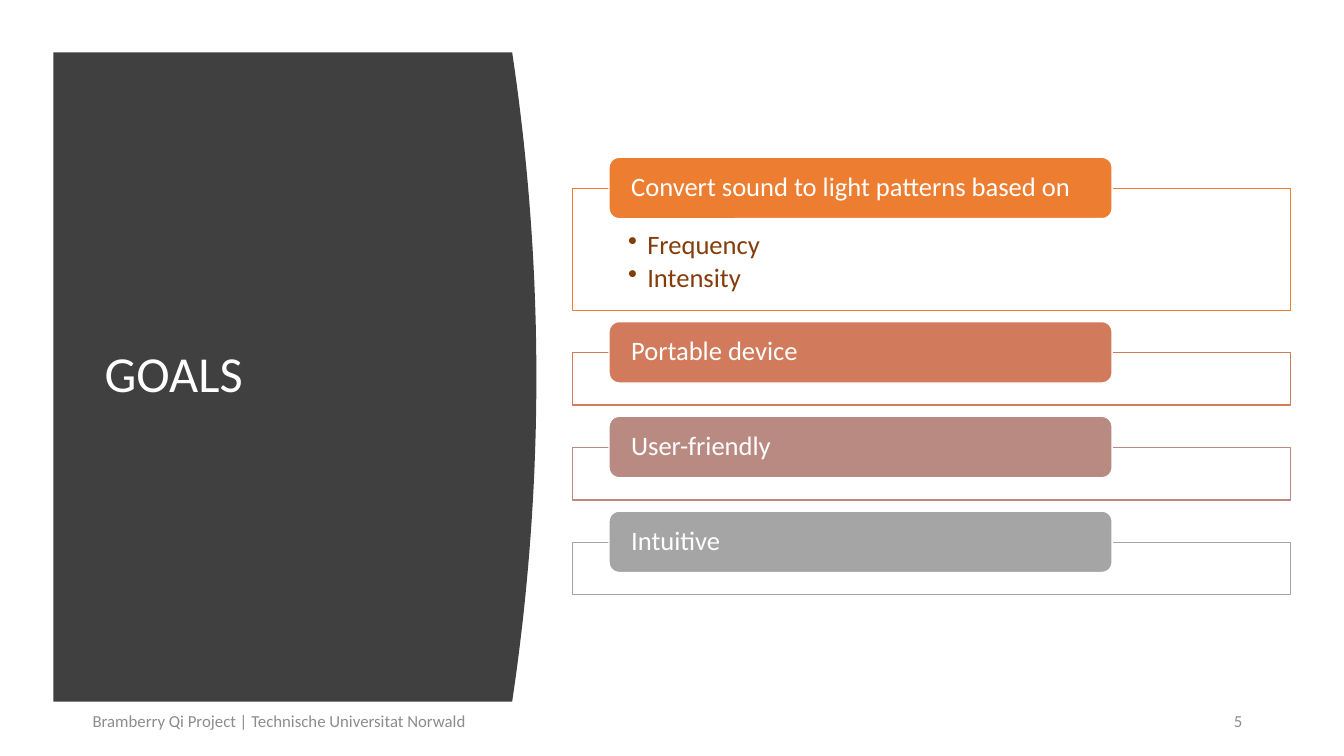
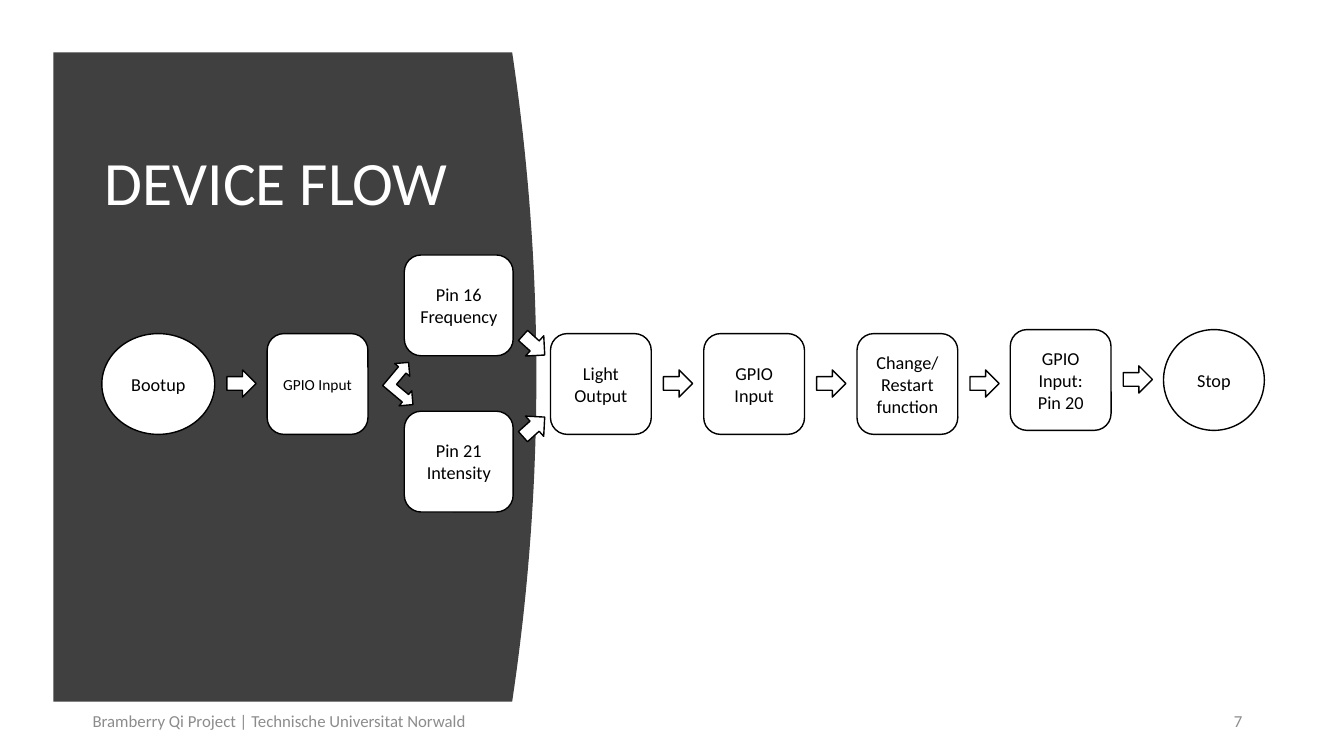
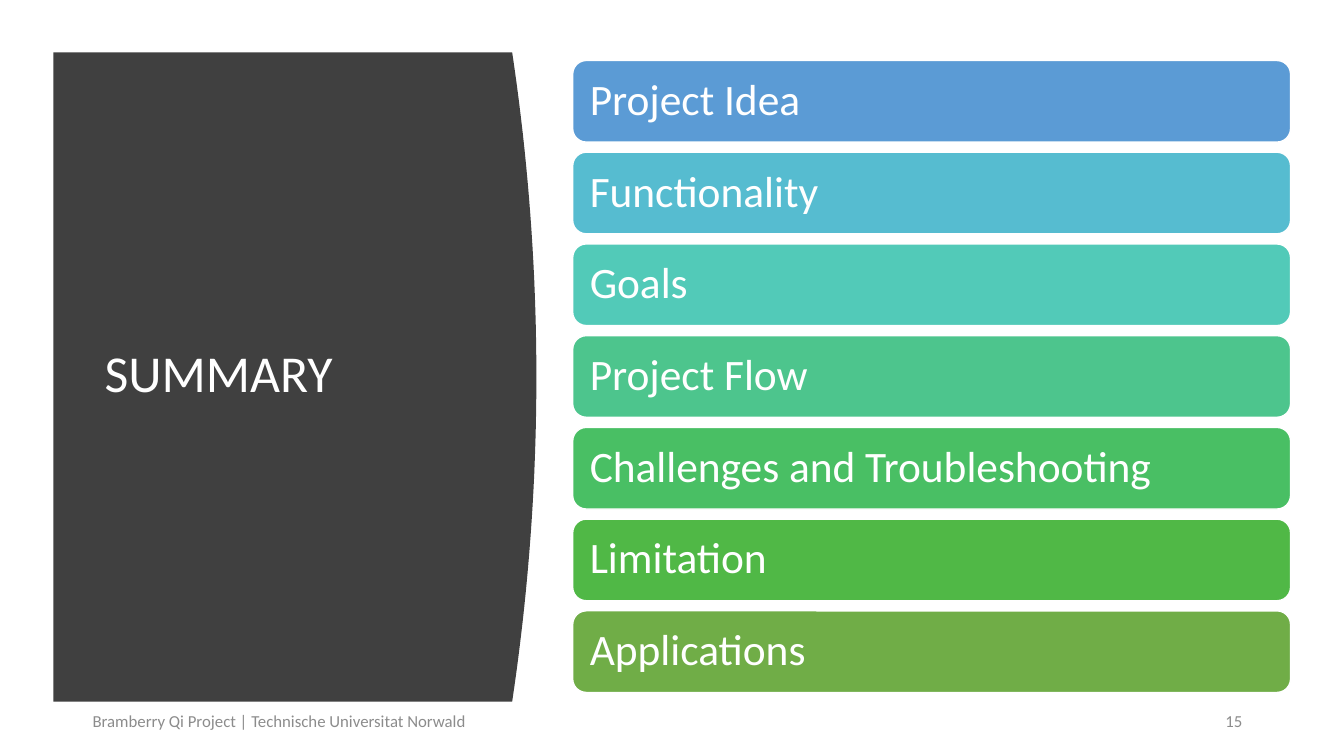
import pptx
import pptx.util
import pptx.dml.color
import pptx.enum.shapes
import pptx.enum.text
import lxml.etree

SHAPE = pptx.enum.shapes.MSO_SHAPE
ALIGN = pptx.enum.text.PP_ALIGN
ANCHOR = pptx.enum.text.MSO_ANCHOR

# Shared look: 100 px to the inch
EMU_PER_PX = 9144
FONT = "Calibri"
WHITE, BLACK, DARK, GREY, BROWN = "FFFFFF", "000000", "404040", "8C8C8C", "843C0B"
FOOTER = "Bramberry Qi Project | Technische Universitat Norwald"
TEXT_MARGINS = (10, 5, 10, 5)
CONTENT_LEFT, CONTENT_WIDTH = 568, 712


def px(value):
    return pptx.util.Emu(round(value * EMU_PER_PX))


def color(hex_string):
    return pptx.dml.color.RGBColor.from_string(hex_string)


def write(box, lines, size, ink, align=ALIGN.LEFT, anchor=ANCHOR.MIDDLE,
          margins=TEXT_MARGINS, spacing=1.0, after=0, bullet=False):
    """Fill a shape with one paragraph per line."""
    frame = box.text_frame
    frame.word_wrap = True
    frame.vertical_anchor = anchor
    (frame.margin_left, frame.margin_top,
     frame.margin_right, frame.margin_bottom) = map(px, margins)
    for index, line in enumerate(lines):
        para = frame.add_paragraph() if index else frame.paragraphs[0]
        para.alignment = align
        para.line_spacing = spacing
        para.space_after = pptx.util.Pt(after)
        if bullet:
            add_bullet(para)
        span = para.add_run()
        span.text = line
        span.font.name = FONT
        span.font.size = pptx.util.Pt(size)
        span.font.color.rgb = color(ink)


def add_bullet(para):
    properties = para._p.get_or_add_pPr()
    properties.set("marL", str(px(19)))
    properties.set("indent", str(px(-19)))
    mark = lxml.etree.SubElement(properties, pptx.oxml.ns.qn("a:buChar"))
    mark.set("char", "•")


def add_text(page, area, lines, size, ink, **style):
    box = page.shapes.add_textbox(*map(px, area))
    write(box, lines, size, ink, **style)


def paint(shape, fill, line=None):
    shape.shadow.inherit = False
    shape.fill.solid()
    shape.fill.fore_color.rgb = color(fill)
    if line:
        shape.line.color.rgb = color(line)
        shape.line.width = pptx.util.Pt(1)
    else:
        shape.line.fill.background()


def add_shape(page, kind, area, fill, line, rotation=0):
    shape = page.shapes.add_shape(kind, *map(px, area))
    paint(shape, fill, line)
    shape.rotation = rotation
    return shape


def add_panel(page):
    """Dark panel whose right edge bulges as a parabola."""
    left, top, bottom, corner, bulge, steps = 53, 52, 696, 508, 24, 40
    edge = []
    for step in range(steps + 1):
        offset = 2 * step / steps - 1
        edge.append((px(corner + bulge * (1 - offset ** 2)),
                     px(top + (bottom - top) * step / steps)))
    builder = page.shapes.build_freeform(px(left), px(top))
    builder.add_line_segments(edge + [(px(left), px(bottom))], close=True)
    paint(builder.convert_to_shape(), DARK)


def add_page(deck, title, title_size, title_height, number):
    page = deck.slides.add_slide(deck.slide_layouts[6])
    add_panel(page)
    add_text(page, (94, 111, 374, title_height), [title], title_size, WHITE, spacing=0.9)
    add_text(page, (82, 695, 450, 40), [FOOTER], 12, GREY, after=6)
    add_text(page, (1173, 695, 69, 40), [number], 12, GREY, align=ALIGN.RIGHT, after=6)
    return page


def add_label(page, area, text, size, fill, margins):
    label = add_shape(page, SHAPE.ROUNDED_RECTANGLE, area, fill, WHITE)
    write(label, [text], size, WHITE, margins=margins, spacing=0.9)


def add_goals(deck):
    page = add_page(deck, "GOALS", 36, 524, "5")
    goals = [
        ("Convert sound to light patterns based on", "ED7D31", ["Frequency", "Intensity"]),
        ("Portable device", "D17B5C", []),
        ("User-friendly", "B98A82", []),
        ("Intuitive", "A5A5A5", []),
    ]
    label_top, label_height, gap = 156, 61, 11
    for text, tint, details in goals:
        frame_top = label_top + 31
        frame_height = 121 if details else 52
        frame = add_shape(page, SHAPE.RECTANGLE,
                          (CONTENT_LEFT, frame_top, CONTENT_WIDTH, frame_height), WHITE, tint)
        write(frame, details, 19, BROWN, anchor=ANCHOR.TOP, margins=(55, 43, 55, 15),
              spacing=0.9, after=3, bullet=True)
        add_label(page, (604, label_top, 499, label_height), text, 19, tint, (19, 0, 19, 0))
        label_top = frame_top + frame_height + gap


def add_node(page, kind, area, lines, size=13, margins=TEXT_MARGINS):
    node = add_shape(page, kind, area, WHITE, BLACK)
    write(node, lines, size, BLACK, align=ALIGN.CENTER, margins=margins)


def add_arrow(page, left, top, rotation=0):
    add_shape(page, SHAPE.RIGHT_ARROW, (left, top, 29, 27), WHITE, BLACK, rotation)


def add_device_flow(deck):
    page = add_page(deck, "DEVICE FLOW", 44, 147, "7")
    rounded = SHAPE.ROUNDED_RECTANGLE

    # Start and the two input branches
    add_node(page, SHAPE.OVAL, (101, 331, 112, 100), ["Bootup"])
    add_arrow(page, 225, 367)
    add_node(page, rounded, (265, 331, 100, 100), ["GPIO Input"], 11, (4, 5, 4, 5))
    add_shape(page, SHAPE.LEFT_UP_ARROW, (381, 361, 39, 40), WHITE, BLACK, 130)
    add_node(page, rounded, (401, 253, 108, 100), ["Pin 16", "Frequency"])
    add_node(page, rounded, (401, 408, 108, 100), ["Pin 21", "Intensity"])
    add_arrow(page, 515, 329, 42)
    add_arrow(page, 515, 410, 318)

    # Main row, evenly spaced, an arrow after each step but the last
    steps = [
        (rounded, 331, ["Light Output"]),
        (rounded, 331, ["GPIO Input"]),
        (rounded, 331, ["Change/Restart function"]),
        (rounded, 327, ["GPIO Input:", "Pin 20"]),
        (SHAPE.OVAL, 327, ["Stop"]),
    ]
    for index, (kind, top, lines) in enumerate(steps):
        left = 546 + 152 * index
        add_node(page, kind, (left, top, 100, 100), lines)
        if index < len(steps) - 1:
            add_arrow(page, left + 112, top + 36)


def add_summary(deck):
    page = add_page(deck, "SUMMARY", 37, 524, "15")
    topics = [
        ("Project Idea", "5B9BD5"),
        ("Functionality", "56BCD0"),
        ("Goals", "52CAB8"),
        ("Project Flow", "4DC58D"),
        ("Challenges and Troubleshooting", "49BF64"),
        ("Limitation", "50B846"),
        ("Applications", "70AD47"),
    ]
    for index, (text, tint) in enumerate(topics):
        area = (CONTENT_LEFT, 60 + 91 * index, CONTENT_WIDTH, 81)
        add_label(page, area, text, 31, tint, (13, 13, 13, 13))


def main():
    deck = pptx.Presentation()
    deck.slide_width, deck.slide_height = px(1333), px(750)
    add_goals(deck)
    add_device_flow(deck)
    add_summary(deck)
    deck.save("out.pptx")


if __name__ == "__main__":
    main()
